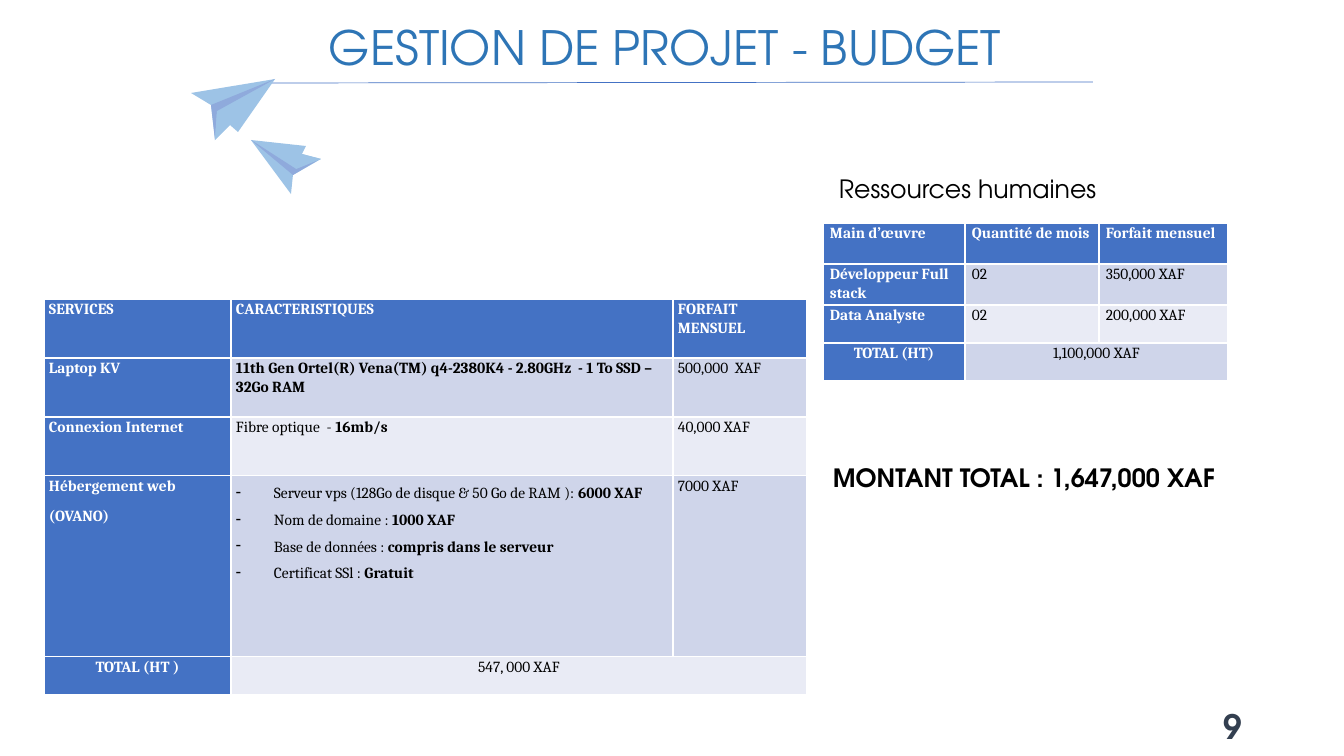
from dataclasses import dataclass

from lxml import etree
from pptx import Presentation
from pptx import util as u
from pptx.dml.color import RGBColor
from pptx.enum import shapes, text
from pptx.oxml.ns import qn

BLUE = RGBColor(0x44, 0x72, 0xC4)
TITLE = RGBColor(0x2E, 0x75, 0xB6)
WING = RGBColor(0x9D, 0xC3, 0xE6)
FOLD = RGBColor(0x8F, 0xAA, 0xDC)
DARK = RGBColor(0xCF, 0xD5, 0xEA)
LIGHT = RGBColor(0xE9, 0xEB, 0xF5)
SLATE = RGBColor(0x33, 0x3F, 0x50)
WHITE = RGBColor(0xFF, 0xFF, 0xFF)
BLACK = RGBColor(0, 0, 0)
SANS = "TeX Gyre Adventor"
SERIF = "Cambria"
SCALE = 914400 / 100.8
LEFT = text.PP_ALIGN.LEFT
RIGHT = text.PP_ALIGN.RIGHT
CENTER = text.PP_ALIGN.CENTER


@dataclass(frozen=True)
class Label:
    words: str
    box: tuple[int, int, int, int]
    size: float
    color: RGBColor = BLACK
    bold: bool = False
    align: text.PP_ALIGN = LEFT


@dataclass(frozen=True)
class Facet:
    color: RGBColor
    points: tuple[tuple[int, int], ...]


@dataclass(frozen=True)
class Grid:
    left: int
    top: int
    inset: int
    cols: tuple[int, ...]
    rows: tuple[int, ...]
    cells: tuple[tuple[str, ...], ...]


LABELS = (
    Label("Ressources humaines", (829, 168, 324, 40), 18),
    Label("MONTANT TOTAL : 1,647,000 XAF", (823, 457, 449, 40), 18, bold=True),
    Label("9", (950, 701, 302, 40), 24, SLATE, True, RIGHT),
)

PLANES = (
    Facet(WING, ((191, 93), (275, 79), (238, 132), (230, 125), (215, 140), (211, 105))),
    Facet(FOLD, ((275, 79), (211, 105), (215, 139), (217, 111))),
    Facet(WING, ((230, 125), (215, 140), (217, 111))),
    Facet(WING, ((291, 194), (251, 140), (306, 146), (302, 154), (321, 159), (293, 175))),
    Facet(FOLD, ((251, 140), (293, 175), (320, 159), (296, 169))),
    Facet(WING, ((302, 154), (321, 159), (296, 169))),
)

GRIDS = (
    Grid(44, 299, 5, (187, 442, 134), (59, 59, 59, 181, 38), (
        ("SERVICES", "CARACTERISTIQUES", "FORFAIT MENSUEL"),
        ("Laptop KV",
         "|11th Gen Ortel(R) Vena(TM) q4-2380K4 - 2.80GHz  - 1 To SSD – 32Go RAM",
         "500,000  XAF"),
        ("Connexion Internet", "Fibre optique  - |16mb/s", "40,000 XAF"),
        ("Hébergement web\n(OVANO)",
         "Serveur vps (128Go de disque & 50 Go de RAM ): |6000 XAF\n"
         "Nom de domaine : |1000 XAF\n"
         "Base de données : |compris dans le serveur\n"
         "Certificat SSl : |Gratuit",
         "7000 XAF"),
        ("TOTAL (HT )", "547, 000 XAF"),
    )),
    Grid(823, 223, 7, (142, 134, 129), (41, 41, 38, 38), (
        ("Main d’œuvre", "Quantité de mois", "Forfait mensuel"),
        ("Développeur Full stack", "02", "350,000 XAF"),
        ("Data Analyste", "02", "200,000 XAF"),
        ("TOTAL (HT)", "1,100,000 XAF"),
    )),
)


def px(n: int) -> u.Emu:
    return u.Emu(round(n * SCALE))


def style(para, face: str, size: float, color: RGBColor, bold: bool | None = None) -> None:
    font = para.font
    font.name, font.size, font.bold = face, u.Pt(size), bold
    font.color.rgb = color


def head(slide) -> None:
    title = slide.shapes.title
    title.left, title.top, title.width, title.height = map(px, (34, 27, 1276, 54))
    frame = title.text_frame
    frame.auto_size = text.MSO_AUTO_SIZE.NONE
    frame.vertical_anchor = text.MSO_ANCHOR.MIDDLE
    para = frame.paragraphs[0]
    para.text = "GESTION DE PROJET - BUDGET "
    para.alignment = CENTER
    para.line_spacing = 0.7
    para.space_before = u.Pt(10)
    style(para, SANS, 33.8, TITLE)


def rule(slide) -> None:
    line = slide.shapes.add_connector(
        shapes.MSO_CONNECTOR.STRAIGHT, px(265), px(83), px(1093), px(82))
    line.line.color.rgb = BLUE
    line.line.width = u.Pt(0.5)
    etree.SubElement(line._element.spPr, qn("a:effectLst"))


def facet(slide, part: Facet) -> None:
    start, *rest = part.points
    pen = slide.shapes.build_freeform(*start, scale=SCALE)
    pen.add_line_segments(rest, close=True)
    shape = pen.convert_to_shape()
    shape.shadow.inherit = False
    shape.fill.solid()
    shape.fill.fore_color.rgb = part.color
    shape.line.fill.background()


def label(slide, item: Label) -> None:
    frame = slide.shapes.add_textbox(*map(px, item.box)).text_frame
    frame.word_wrap = True
    para = frame.paragraphs[0]
    para.text = item.words
    para.alignment = item.align
    style(para, SANS, item.size, item.color, item.bold)


def bullet(para) -> None:
    props = para._p.get_or_add_pPr()
    props.set("marL", str(px(38)))
    props.set("indent", str(-px(38)))
    mark = etree.Element(qn("a:buChar"), char="-")
    props.insert_element_before(mark, "a:tabLst", "a:defRPr", "a:extLst")


def write(cell, words: str, strong: bool, align: text.PP_ALIGN) -> None:
    lines = words.split("\n")
    listed = len(lines) > 1 and not strong
    frame = cell.text_frame
    for i, line in enumerate(lines):
        para = frame.add_paragraph() if i else frame.paragraphs[0]
        para.alignment = align
        para.line_spacing = 1.5 if listed else 1.07
        para.space_after = u.Pt(0 if listed else 8)
        style(para, SERIF, 11, WHITE if strong else BLACK)
        if listed:
            bullet(para)
        for j, piece in enumerate(line.split("|")):
            if piece:
                run = para.add_run()
                run.text = piece
                run.font.bold = strong or j % 2 == 1


def grid(slide, item: Grid) -> None:
    table = slide.shapes.add_table(
        len(item.rows), len(item.cols), px(item.left), px(item.top),
        px(sum(item.cols)), px(sum(item.rows))).table
    table.first_col = True
    for col, width in zip(table.columns, item.cols):
        col.width = px(width)
    for row, height in zip(table.rows, item.rows):
        row.height = px(height)
    last = len(item.rows) - 1
    table.cell(last, 1).merge(table.cell(last, 2))
    for r, row in enumerate(item.cells):
        for c, words in enumerate(row):
            cell = table.cell(r, c)
            strong = r == 0 or c == 0
            cell.margin_left = cell.margin_right = px(item.inset)
            cell.margin_top = cell.margin_bottom = 0
            cell.fill.solid()
            cell.fill.fore_color.rgb = BLUE if strong else DARK if r % 2 else LIGHT
            write(cell, words, strong, CENTER if r == last else LEFT)


def main() -> None:
    deck = Presentation()
    deck.slide_width, deck.slide_height = px(1344), px(756)
    slide = deck.slides.add_slide(deck.slide_layouts[5])
    head(slide)
    rule(slide)
    for part in PLANES:
        facet(slide, part)
    for item in GRIDS:
        grid(slide, item)
    for item in LABELS:
        label(slide, item)
    deck.save("out.pptx")


if __name__ == "__main__":
    main()
